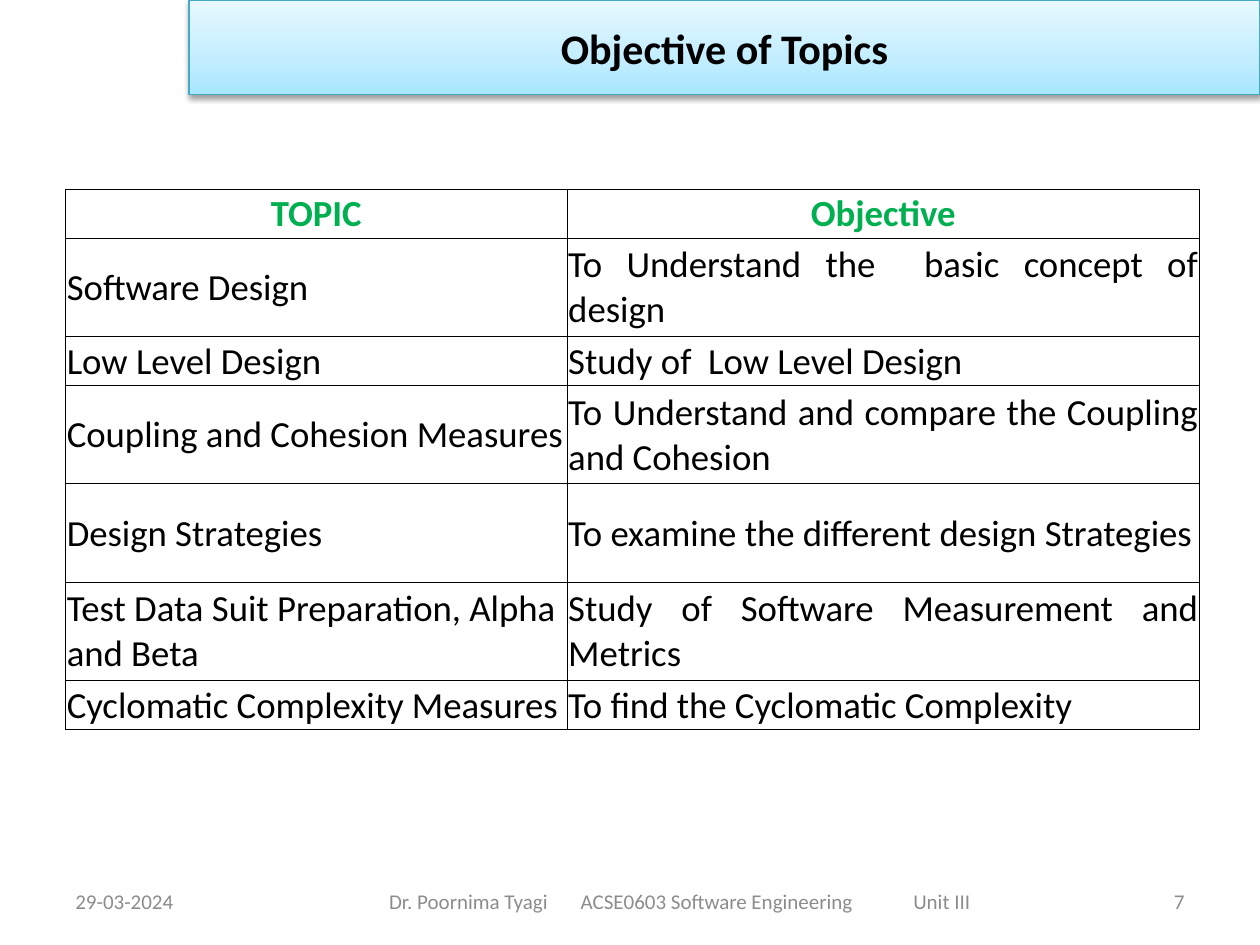
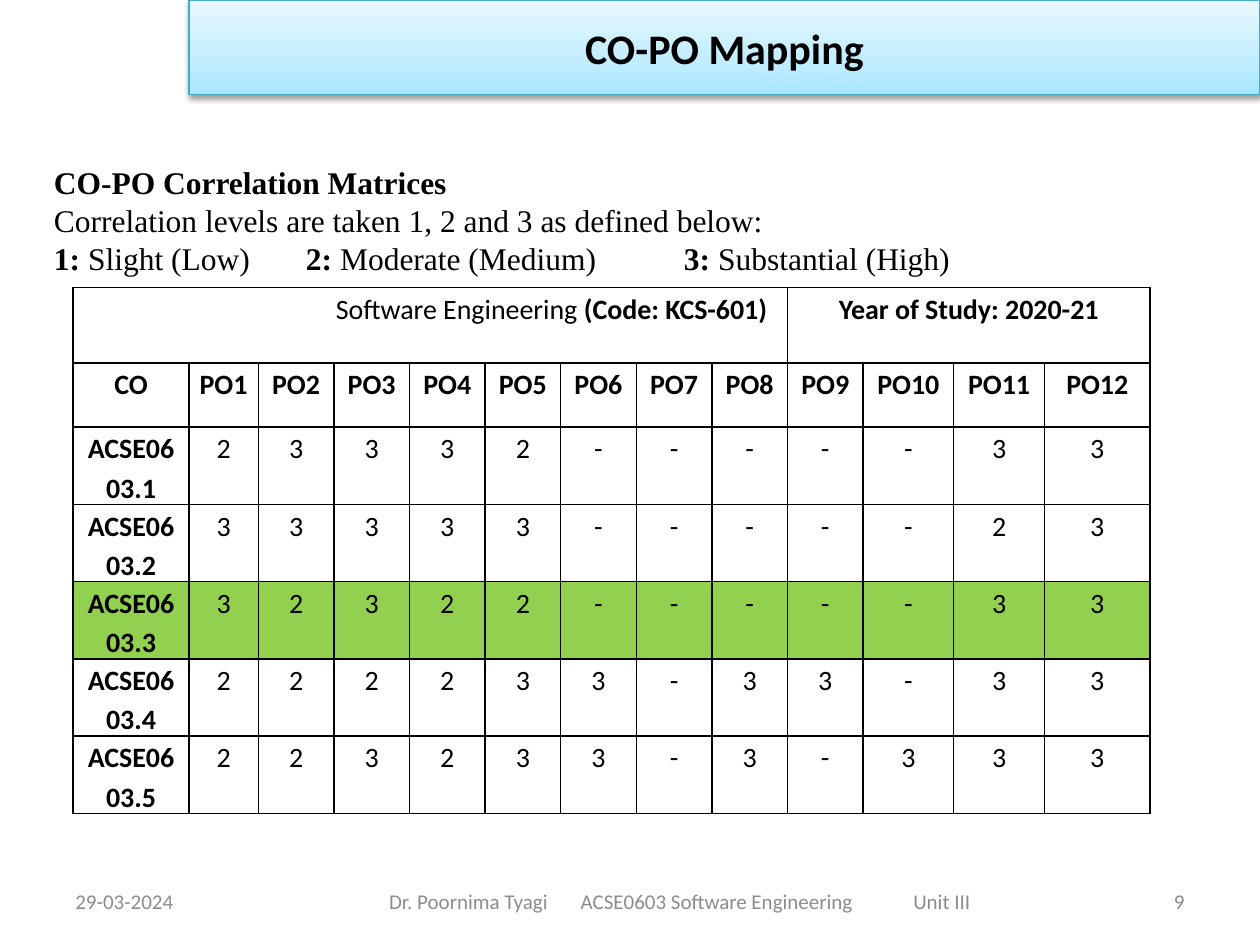
from pptx import Presentation
from pptx.dml.color import RGBColor
from pptx.enum.text import MSO_ANCHOR, MSO_AUTO_SIZE, PP_ALIGN
from pptx.oxml import parse_xml
from pptx.oxml.ns import nsdecls
from pptx.util import Inches, Pt

BLACK = RGBColor(0x00, 0x00, 0x00)
WHITE = RGBColor(0xFF, 0xFF, 0xFF)
GRAY = RGBColor(0x8C, 0x8C, 0x8C)
GREEN = RGBColor(0x00, 0xB0, 0x50)
LIME = RGBColor(0x92, 0xD0, 0x50)
TEAL = RGBColor(0x46, 0xAA, 0xC5)
NS = nsdecls("a")

BAND = f"""<a:gradFill {NS} rotWithShape="1"><a:gsLst>
<a:gs pos="0"><a:srgbClr val="A7E6FF"/></a:gs>
<a:gs pos="35000"><a:srgbClr val="C1EDFF"/></a:gs>
<a:gs pos="100000"><a:srgbClr val="E7F8FF"/></a:gs>
</a:gsLst><a:lin ang="16200000" scaled="1"/></a:gradFill>"""
SHADOW = f"""<a:effectLst {NS}>
<a:outerShdw blurRad="40000" dist="20000" dir="5400000" rotWithShape="0">
<a:srgbClr val="000000"><a:alpha val="38000"/></a:srgbClr>
</a:outerShdw></a:effectLst>"""


def write(frame, text, size=12, font="Calibri", color=BLACK, bold=False,
          align=PP_ALIGN.LEFT, anchor=MSO_ANCHOR.MIDDLE, tabs=(),
          spacing=None, after=None):
    """Fill a frame; a star in the text switches bold on or off."""
    frame.word_wrap = True
    frame.vertical_anchor = anchor
    for i, line in enumerate(text.split("\n")):
        para = frame.add_paragraph() if i else frame.paragraphs[0]
        para.alignment = align
        if tabs:
            stops = "".join(f'<a:tab pos="{Inches(t)}" algn="l"/>' for t in tabs)
            para._p.get_or_add_pPr().append(
                parse_xml(f"<a:tabLst {NS}>{stops}</a:tabLst>"))
        if spacing:
            para.line_spacing = spacing
        if after:
            para.space_after = Pt(after)
        for n, part in enumerate(line.split("*")):
            if part:
                run = para.add_run()
                run.text = part
                run.font.size = Pt(size)
                run.font.name = font
                run.font.bold = bold != (n % 2 == 1)
                run.font.color.rgb = color


def grid(slide, left, top, cols, rows, width, inset):
    """Add a white table with black cell borders."""
    table = slide.shapes.add_table(
        len(rows), len(cols), Inches(left), Inches(top),
        Inches(sum(cols)), Inches(sum(rows))).table
    table.first_row = table.horz_banding = False
    for col, size in zip(table.columns, cols):
        col.width = Inches(size)
    for row, size in zip(table.rows, rows):
        row.height = Inches(size)
    for cell in table.iter_cells():
        side, head = inset
        cell.margin_left = cell.margin_right = Inches(side)
        cell.margin_top, cell.margin_bottom = Inches(head), 0
        cell.fill.solid()
        cell.fill.fore_color.rgb = WHITE
        for i, edge in enumerate("LRTB"):
            cell._tc.get_or_add_tcPr().insert(i, parse_xml(
                f'<a:ln{edge} {NS} w="{Pt(width)}"><a:solidFill>'
                f'<a:srgbClr val="000000"/></a:solidFill></a:ln{edge}>'))
    return table


deck = Presentation()
deck.slide_width, deck.slide_height = Inches(10), Inches(7.5)

# Title bands and footers
slides = []
for title, number in (("Objective of Topics", "7"), ("CO-PO Mapping", "9")):
    slide = deck.slides.add_slide(deck.slide_layouts[5])
    slides.append(slide)
    band = slide.shapes.title
    band.left, band.top = Inches(1.5), Inches(0)
    band.width, band.height = Inches(8.5), Inches(0.75)
    band._element.spPr.append(parse_xml(BAND))
    band.line.color.rgb = TEAL
    band.line.width = Pt(0.75)
    band._element.spPr.append(parse_xml(SHADOW))
    write(band.text_frame, title, size=24, bold=True, align=PP_ALIGN.CENTER)

    course = "Dr. Poornima Tyagi\tACSE0603 Software Engineering\tUnit III"
    for left, width, text, align, tabs in (
            (0.5, 2.33, "29-03-2024", PP_ALIGN.LEFT, ()),
            (2.99, 5.26, course, PP_ALIGN.LEFT, (1.52, 4.16)),
            (7.17, 2.33, number, PP_ALIGN.RIGHT, ())):
        box = slide.shapes.add_textbox(
            Inches(left), Inches(6.95), Inches(width), Inches(0.4))
        write(box.text_frame, text, color=GRAY, align=align, tabs=tabs)

# Topics and their objectives
goals = [
    ("TOPIC", "Objective"),
    ("Software Design", "To Understand the  basic concept of design"),
    ("Low Level Design", "Study of  Low Level Design"),
    ("Coupling and Cohesion Measures",
     "To Understand and compare the Coupling and Cohesion"),
    ("Design Strategies", "To examine the different design Strategies"),
    ("Test Data Suit Preparation, Alpha and Beta",
     "Study of Software Measurement and Metrics"),
    ("Cyclomatic Complexity Measures", "To find the Cyclomatic Complexity"),
]
table = grid(slides[0], 0.52, 1.5, [3.98, 5.02],
             [0.39, 0.78, 0.39, 0.78, 0.78, 0.78, 0.39], 0.5, (0.01, 0.01))
for r, pair in enumerate(goals):
    for c, text in enumerate(pair):
        cell = table.cell(r, c)
        cell.vertical_anchor = MSO_ANCHOR.MIDDLE
        if r == 0:
            look = dict(color=GREEN, bold=True, align=PP_ALIGN.CENTER)
        else:
            look = dict(align=PP_ALIGN.JUSTIFY if c else PP_ALIGN.LEFT)
        write(cell.text_frame, text, size=21, **look)

# Correlation levels
box = slides[1].shapes.add_textbox(
    Inches(0.33), Inches(1.24), Inches(9.08), Inches(1.01))
write(box.text_frame,
      "*CO-PO Correlation Matrices*\n"
      "Correlation levels are taken 1, 2 and 3 as defined below:\n"
      "*1: *Slight (Low)*\t2: *Moderate (Medium)*\t3: *Substantial (High)",
      size=18, font="Times New Roman", tabs=(2, 5))
box.text_frame.auto_size = MSO_AUTO_SIZE.SHAPE_TO_FIT_TEXT

# Mapping of course outcomes to programme outcomes
levels = ["23332-----33", "33333-----23", "32322-----33",
          "222233-33-33", "223233-3-333"]
table = grid(slides[1], 0.58, 2.28,
             [0.92, 0.55] + [0.6] * 8 + [0.72, 0.72, 0.84],
             [0.6] + [0.51] * 6, 1, (0.07, 0))
table.cell(0, 0).merge(table.cell(0, 8))
table.cell(0, 9).merge(table.cell(0, 12))
table.cell(0, 0).margin_right = Inches(0.16)

look = dict(size=16, anchor=MSO_ANCHOR.TOP, spacing=1.15, after=10)
write(table.cell(0, 0).text_frame, "Software Engineering* (Code: KCS-601)*",
      align=PP_ALIGN.RIGHT, **look)
write(table.cell(0, 9).text_frame, "*Year of Study: 2020-21*",
      align=PP_ALIGN.CENTER, **look)
rows = [["*CO*"] + [f"*PO{n}*" for n in range(1, 13)]]
rows += [[f"*ACSE0603.{n}*", *marks] for n, marks in enumerate(levels, 1)]
for r, row in enumerate(rows, 1):
    for c, text in enumerate(row):
        cell = table.cell(r, c)
        write(cell.text_frame, text, align=PP_ALIGN.CENTER, **look)
        if text and row[0] == "*ACSE0603.3*":
            cell.fill.fore_color.rgb = LIME

deck.save("out.pptx")
